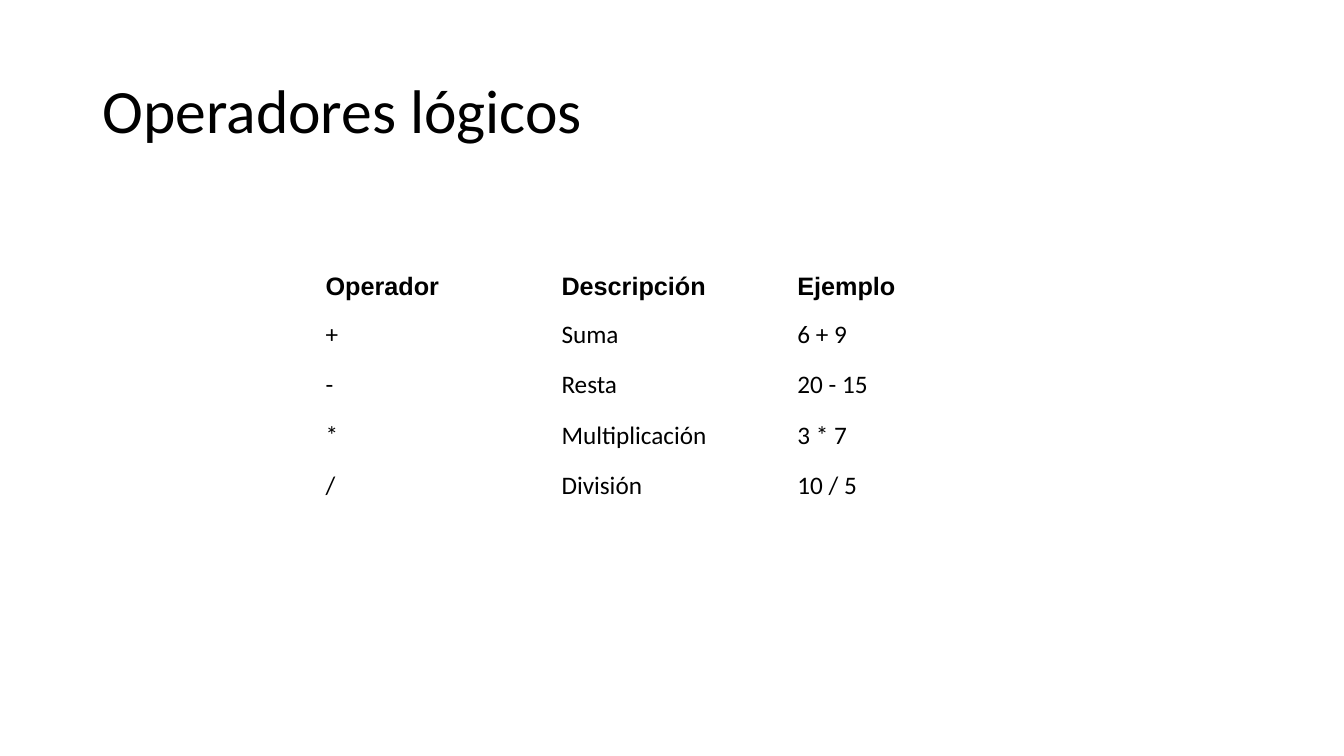
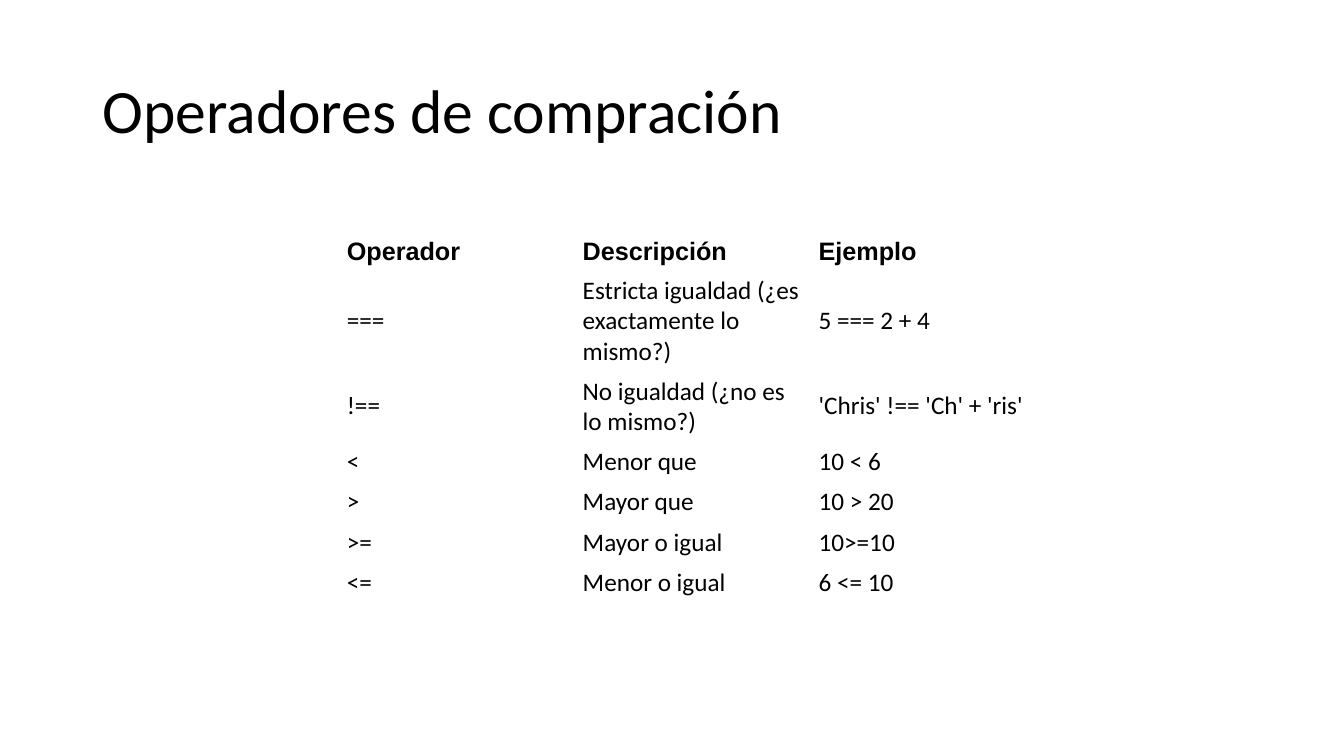
"""Build two slides that list operators in plain tables."""
import lxml.etree
import pptx
import pptx.dml.color
import pptx.enum.text
import pptx.oxml.ns
import pptx.util

Inches = pptx.util.Inches
Pt = pptx.util.Pt
MIDDLE = pptx.enum.text.MSO_ANCHOR.MIDDLE

COLORS = {"text": "000000", "paper": "FFFFFF"}
BODY_FONT = "Calibri"
HEADER_FONT = "Arial"
COLUMN_WIDTH = 2.34
BORDER_WIDTH = Pt(1.2)
HEADER = ("Operador", "Descripción", "Ejemplo")

ARITHMETIC = [
    ("+", "Suma", "6 + 9"),
    ("-", "Resta", "20 - 15"),
    ("*", "Multiplicación", "3 * 7"),
    ("/", "División", "10 / 5"),
]
COMPARISON = [
    ("===", "Estricta igualdad (¿es exactamente lo mismo?)", "5 === 2 + 4"),
    ("!==", "No igualdad (¿no es lo mismo?)", "'Chris' !== 'Ch' + 'ris'"),
    ("<", "Menor que", "10 < 6"),
    (">", "Mayor que", "10 > 20"),
    (">=", "Mayor o igual", "10>=10"),
    ("<=", "Menor o igual", "6 <= 10"),
]


def color(name):
    """Return the named colour."""
    return pptx.dml.color.RGBColor.from_string(COLORS[name])


def write(frame, text, size, font, bold=False):
    """Put one formatted paragraph in a text frame and return it."""
    frame.text = text
    para = frame.paragraphs[0]
    for span in para.runs:
        span.font.size = Pt(size)
        span.font.name = font
        span.font.bold = bold
        span.font.color.rgb = color("text")
    return para


def add_title(page, text):
    """Add the slide title."""
    box = page.shapes.add_textbox(Inches(0.92), Inches(0.4), Inches(11.5), Inches(1.45))
    frame = box.text_frame
    frame.word_wrap = True
    frame.vertical_anchor = MIDDLE
    write(frame, text, 44, BODY_FONT).line_spacing = 0.9


def set_borders(cell):
    """Draw the four cell borders in the paper colour."""
    qn = pptx.oxml.ns.qn
    properties = cell._tc.get_or_add_tcPr()
    for side in ("a:lnL", "a:lnR", "a:lnT", "a:lnB"):
        line = lxml.etree.SubElement(properties, qn(side), w=str(BORDER_WIDTH))
        fill = lxml.etree.SubElement(line, qn("a:solidFill"))
        lxml.etree.SubElement(fill, qn("a:srgbClr"), val=COLORS["paper"])


def style_cell(cell, text, is_header):
    """Fill in and format one table cell."""
    cell.vertical_anchor = MIDDLE
    cell.margin_left = cell.margin_right = Inches(0.07)
    cell.margin_top = Inches(0.02 if is_header else 0.05)
    cell.margin_bottom = Inches(0.03 if is_header else 0.05)
    set_borders(cell)
    cell.fill.solid()
    cell.fill.fore_color.rgb = color("paper")
    write(cell.text_frame, text, 18, HEADER_FONT if is_header else BODY_FONT, is_header)


def add_operator_table(page, left, top, heights, operators):
    """Add a table of operators below the common header row."""
    rows = [HEADER, *operators]
    table = page.shapes.add_table(
        len(rows), len(HEADER), Inches(left), Inches(top),
        Inches(COLUMN_WIDTH * len(HEADER)), Inches(sum(heights)),
    ).table
    table.first_row = False
    table.horz_banding = False
    for column in table.columns:
        column.width = Inches(COLUMN_WIDTH)
    for row_index, (texts, height) in enumerate(zip(rows, heights)):
        table.rows[row_index].height = Inches(height)
        for column_index, text in enumerate(texts):
            style_cell(table.cell(row_index, column_index), text, row_index == 0)


def add_page(deck, title, left, top, heights, operators):
    """Add a slide with a title and an operator table."""
    page = deck.slides.add_slide(deck.slide_layouts[6])
    page.background.fill.solid()
    page.background.fill.fore_color.rgb = color("paper")
    add_title(page, title)
    add_operator_table(page, left, top, heights, operators)


def main():
    """Build and save the deck."""
    deck = pptx.Presentation()
    deck.slide_width = Inches(13.33)
    deck.slide_height = Inches(7.5)
    add_page(deck, "Operadores lógicos", 3.16, 2.63, [0.44] + [0.5] * 4, ARITHMETIC)
    add_page(deck, "Operadores de compración", 3.37, 2.33,
             [0.3, 0.85, 0.6] + [0.34] * 4, COMPARISON)
    deck.save("out.pptx")


main()
